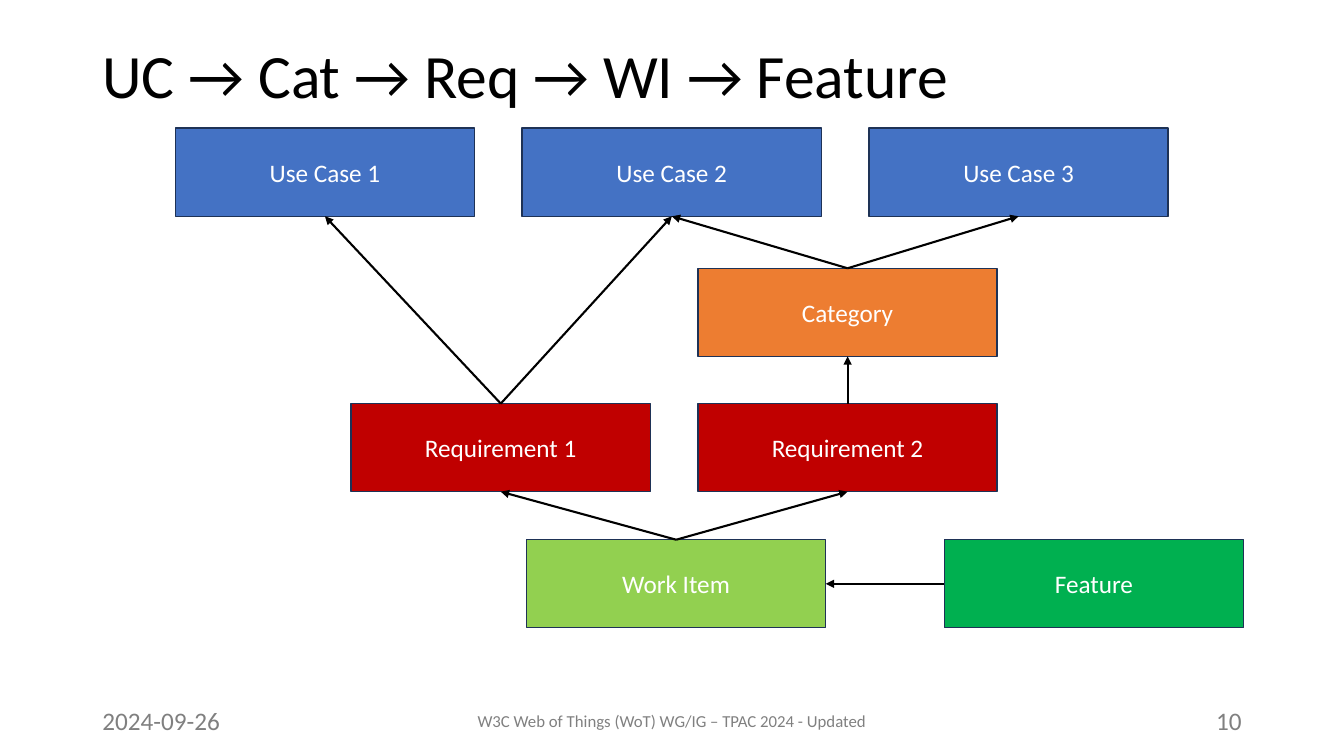
from dataclasses import dataclass

from lxml import etree
from pptx import Presentation
from pptx.dml.color import RGBColor
from pptx.enum import shapes, text
from pptx.oxml import ns
from pptx.util import Cm, Pt

COLORS = {
    "ink": "000000",
    "muted": "808080",
    "label": "FFFFFF",
    "outline": "1E3256",
    "use_case": "4472C4",
    "category": "ED7D31",
    "requirement": "C00000",
    "work_item": "92D050",
    "feature": "00B050",
}
FONT = "Calibri"
BOX_WIDTH, BOX_HEIGHT = 7.54, 2.22
COLUMN_STEP = 8.74
USE_CASE_LEFT, REQUIREMENT_LEFT = 4.42, 8.85
USE_CASE_TOP, CATEGORY_TOP, REQUIREMENT_TOP, WORK_TOP = 3.23, 6.76, 10.17, 13.6
FOOTER_TOP, FOOTER_HEIGHT = 17.65, 1.01
TOP, LEFT, BOTTOM, RIGHT = range(4)


@dataclass(frozen=True)
class Stage:
    label: str
    left: float
    top: float
    color: str


@dataclass(frozen=True)
class Trace:
    source: str
    target: str
    source_side: int = TOP
    target_side: int = BOTTOM


@dataclass(frozen=True)
class Caption:
    words: str
    left: float
    top: float
    width: float
    height: float
    size: int
    color: str = "muted"
    align: text.PP_ALIGN = text.PP_ALIGN.LEFT
    anchor: text.MSO_ANCHOR = text.MSO_ANCHOR.TOP
    line_spacing: float = 1.0


STAGES = [
    *(Stage(f"Use Case {i + 1}", USE_CASE_LEFT + i * COLUMN_STEP, USE_CASE_TOP, "use_case")
      for i in range(3)),
    Stage("Category", REQUIREMENT_LEFT + COLUMN_STEP, CATEGORY_TOP, "category"),
    *(Stage(f"Requirement {i + 1}", REQUIREMENT_LEFT + i * COLUMN_STEP, REQUIREMENT_TOP,
            "requirement") for i in range(2)),
    Stage("Work Item", 13.27, WORK_TOP, "work_item"),
    Stage("Feature", 23.8, WORK_TOP, "feature"),
]
TRACES = [
    Trace("Category", "Use Case 2"),
    Trace("Category", "Use Case 3"),
    Trace("Requirement 1", "Use Case 1"),
    Trace("Requirement 1", "Use Case 2"),
    Trace("Requirement 2", "Category"),
    Trace("Work Item", "Requirement 1"),
    Trace("Work Item", "Requirement 2"),
    Trace("Feature", "Work Item", LEFT, RIGHT),
]
CAPTIONS = [
    Caption("UC → Cat → Req → WI → Feature", 2.33, 1.01, 29.21, 3.68, 44, "ink",
            line_spacing=0.9),
    Caption("2024-09-26", 2.33, FOOTER_TOP, 7.62, FOOTER_HEIGHT, 18),
    Caption("W3C Web of Things (WoT) WG/IG – TPAC 2024 - Updated", 11.22, FOOTER_TOP, 11.43,
            FOOTER_HEIGHT, 12, align=text.PP_ALIGN.CENTER, anchor=text.MSO_ANCHOR.MIDDLE),
    Caption("10", 23.92, FOOTER_TOP, 7.62, FOOTER_HEIGHT, 18, align=text.PP_ALIGN.RIGHT),
]


def rgb(name: str) -> RGBColor:
    return RGBColor.from_string(COLORS[name])


def write(frame, words: str, size: int, color: str, align: text.PP_ALIGN,
          anchor: text.MSO_ANCHOR, line_spacing: float = 1.0) -> None:
    frame.word_wrap = True
    frame.vertical_anchor = anchor
    paragraph = frame.paragraphs[0]
    paragraph.alignment = align
    paragraph.line_spacing = line_spacing
    run = paragraph.add_run()
    run.text = words
    run.font.name = FONT
    run.font.size = Pt(size)
    run.font.color.rgb = rgb(color)


def draw_caption(slide, caption: Caption) -> None:
    box = slide.shapes.add_textbox(Cm(caption.left), Cm(caption.top),
                                   Cm(caption.width), Cm(caption.height))
    write(box.text_frame, caption.words, caption.size, caption.color, caption.align,
          caption.anchor, caption.line_spacing)


def draw_stage(slide, stage: Stage):
    box = slide.shapes.add_shape(shapes.MSO_SHAPE.RECTANGLE, Cm(stage.left), Cm(stage.top),
                                 Cm(BOX_WIDTH), Cm(BOX_HEIGHT))
    box.shadow.inherit = False
    box.fill.solid()
    box.fill.fore_color.rgb = rgb(stage.color)
    box.line.color.rgb = rgb("outline")
    box.line.width = Pt(1)
    write(box.text_frame, stage.label, 18, "label", text.PP_ALIGN.CENTER,
          text.MSO_ANCHOR.MIDDLE)
    return box


def draw_trace(slide, trace: Trace, boxes: dict) -> None:
    arrow = slide.shapes.add_connector(shapes.MSO_CONNECTOR.STRAIGHT, 0, 0, 0, 0)
    arrow.begin_connect(boxes[trace.source], trace.source_side)
    arrow.end_connect(boxes[trace.target], trace.target_side)
    arrow.line.color.rgb = rgb("ink")
    arrow.line.width = Pt(1.5)
    properties = arrow._element.spPr
    head = etree.SubElement(properties.find(ns.qn("a:ln")), ns.qn("a:tailEnd"))
    head.set("type", "triangle")
    etree.SubElement(properties, ns.qn("a:effectLst"))


def main() -> None:
    deck = Presentation()
    deck.slide_width, deck.slide_height = Cm(33.87), Cm(19.05)
    slide = deck.slides.add_slide(deck.slide_layouts[6])
    for caption in CAPTIONS:
        draw_caption(slide, caption)
    boxes = {stage.label: draw_stage(slide, stage) for stage in STAGES}
    for trace in TRACES:
        draw_trace(slide, trace, boxes)
    deck.save("out.pptx")


if __name__ == "__main__":
    main()
